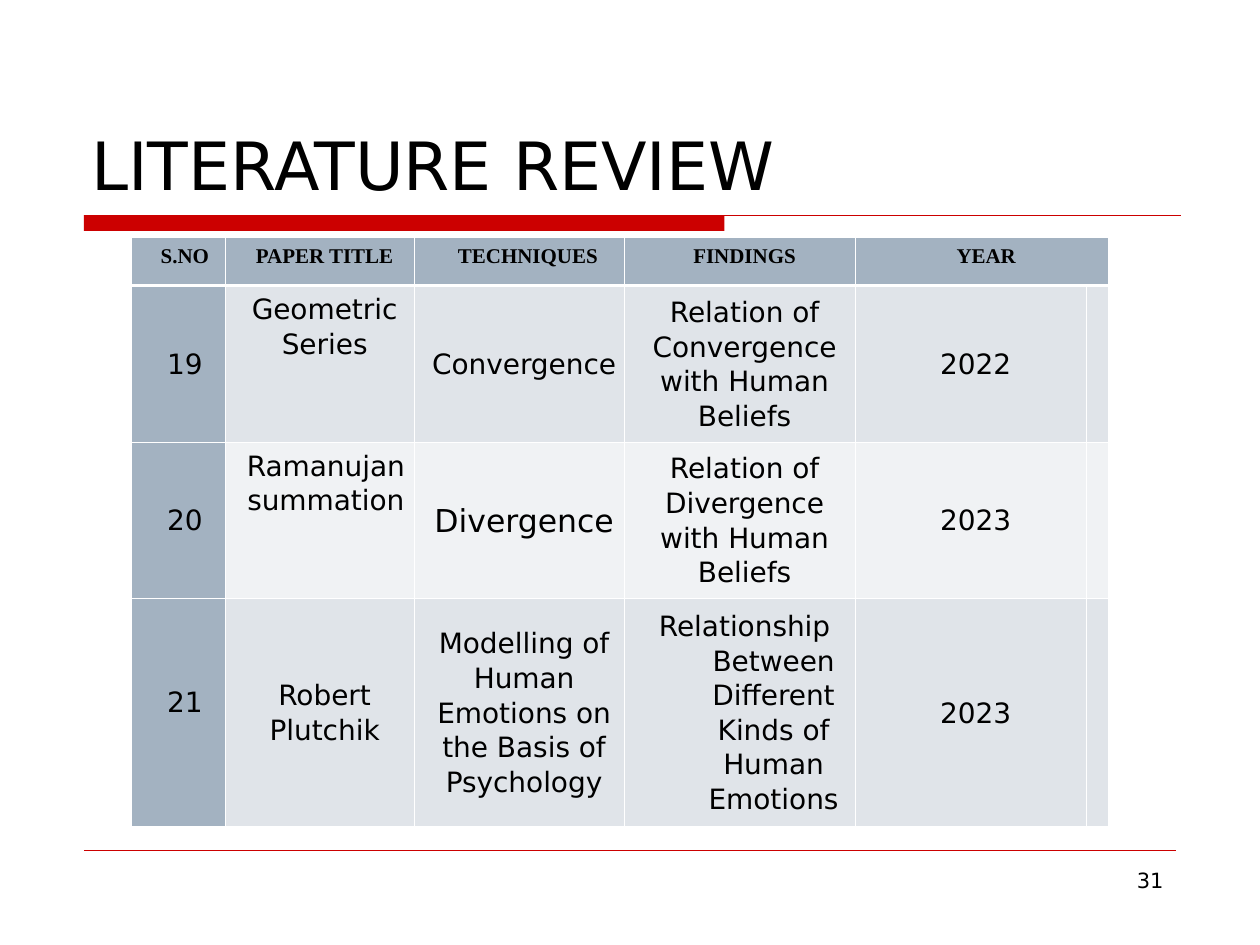
from lxml.etree import SubElement
from pptx import Presentation
from pptx.dml.color import RGBColor
from pptx.enum.shapes import MSO_CONNECTOR, MSO_SHAPE
from pptx.enum.text import MSO_ANCHOR, PP_ALIGN
from pptx.oxml.ns import qn
from pptx.util import Emu, Inches, Pt

COLORS = {name: RGBColor.from_string(value) for name, value in {
    "red": "CC0000", "black": "000000", "white": "FFFFFF",
    "header": "A3B2C1", "odd": "E0E4E9", "even": "F0F2F4",
}.items()}
BODY_FONT = "DejaVu Sans"


def grid(count):
    """Length of a number of grid units; the slide is 120 by 90 units."""
    return Emu(round(count * Inches(1) / 12))


def style(paragraph, size, font_name=BODY_FONT, bold=False):
    paragraph.font.size = Pt(size)
    paragraph.font.name = font_name
    paragraph.font.bold = bold
    paragraph.font.color.rgb = COLORS["black"]


presentation = Presentation()
presentation.slide_width, presentation.slide_height = grid(120), grid(90)
slide = presentation.slides.add_slide(presentation.slide_layouts[6])

# Red bar below the title, and the thin rules
bar = slide.shapes.add_shape(
    MSO_SHAPE.RECTANGLE, grid(8), grid(20.5), grid(61), grid(1.5))
bar.shadow.inherit = False
bar.fill.solid()
bar.fill.fore_color.rgb = COLORS["red"]
bar.line.fill.background()

for right, top, width in [(112.5, 20.5, 0.75), (112, 81, 0.25)]:
    rule = slide.shapes.add_connector(
        MSO_CONNECTOR.STRAIGHT, grid(8), grid(top), grid(right), grid(top))
    rule.line.color.rgb = COLORS["red"]
    rule.line.width = Pt(width)
    SubElement(rule._element.spPr, qn("a:effectLst"))

# Title and page number
for text, box, size, alignment, anchor in [
    ("LITERATURE REVIEW", (7.5, 4, 105, 16), 38, PP_ALIGN.LEFT, MSO_ANCHOR.BOTTOM),
    ("31", (86, 82, 26, 6.2), 12, PP_ALIGN.RIGHT, MSO_ANCHOR.TOP),
]:
    frame = slide.shapes.add_textbox(*map(grid, box)).text_frame
    frame.word_wrap = True
    frame.vertical_anchor = anchor
    paragraph = frame.paragraphs[0]
    paragraph.text = text
    paragraph.alignment = alignment
    style(paragraph, size)

# Table of papers
rows = [
    ["S.NO", "PAPER TITLE", "TECHNIQUES", "FINDINGS", "YEAR", ""],
    ["19", "Geometric Series", "Convergence",
     "Relation of Convergence with Human Beliefs", "2022", ""],
    ["20", "Ramanujan summation", "Divergence",
     "Relation of Divergence with Human Beliefs", "2023", ""],
    ["21", "Robert Plutchik",
     "Modelling of Human Emotions on the Basis of Psychology",
     "Relationship Between Different Kinds of Human Emotions", "2023", ""],
]
column_widths = [9, 18, 20, 22, 22, 2]
row_heights = [4.6, 14.4, 14.4, 20.9]
top_cells = {(1, 1), (2, 1)}
# Left margin and first-line indent in inches
indents = {(0, 2): (0.06, 0), (2, 1): (0.02, 0), (3, 3): (0.46, -0.46)}
indents.update({(row, 0): (0.03, 0) for row in range(len(rows))})

table = slide.shapes.add_table(
    len(rows), len(column_widths), grid(12.5), grid(22.6),
    grid(sum(column_widths)), grid(sum(row_heights))).table
for column, width in zip(table.columns, column_widths):
    column.width = grid(width)
for row, height in zip(table.rows, row_heights):
    row.height = grid(height)
table.cell(0, 4).merge(table.cell(0, 5))

for row_index, texts in enumerate(rows):
    for column_index, text in enumerate(texts):
        position = (row_index, column_index)
        cell = table.cell(*position)
        is_header = row_index == 0
        cell.margin_left, cell.margin_right = Inches(0.1), Inches(0.03)
        cell.margin_top = cell.margin_bottom = Inches(0.05)
        at_top = is_header or position in top_cells
        cell.vertical_anchor = MSO_ANCHOR.TOP if at_top else MSO_ANCHOR.MIDDLE

        heavy_side = {0: "lnB", 1: "lnT"}.get(row_index)
        for side in ("lnL", "lnR", "lnT", "lnB"):
            border = SubElement(cell._tc.get_or_add_tcPr(), qn(f"a:{side}"))
            border.set("w", str(Pt(1.47 if side == heavy_side else 0.45)))
            fill = SubElement(border, qn("a:solidFill"))
            SubElement(fill, qn("a:srgbClr")).set("val", str(COLORS["white"]))

        band = "odd" if row_index % 2 else "even"
        cell.fill.solid()
        cell.fill.fore_color.rgb = COLORS[
            "header" if is_header or column_index == 0 else band]

        paragraph = cell.text_frame.paragraphs[0]
        paragraph.text = text
        paragraph.alignment = PP_ALIGN.CENTER
        paragraph.line_spacing = 1.07
        if is_header:
            style(paragraph, 12, "Times New Roman", bold=True)
        else:
            style(paragraph, 18 if text == "Divergence" else 16)
        if position in indents:
            margin, first_line = indents[position]
            properties = paragraph._p.get_or_add_pPr()
            properties.set("marL", str(Inches(margin)))
            properties.set("indent", str(Inches(first_line)))

# The last number sits slightly above the middle of its row
table.cell(3, 0).margin_bottom = Inches(0.22)

presentation.save("out.pptx")
